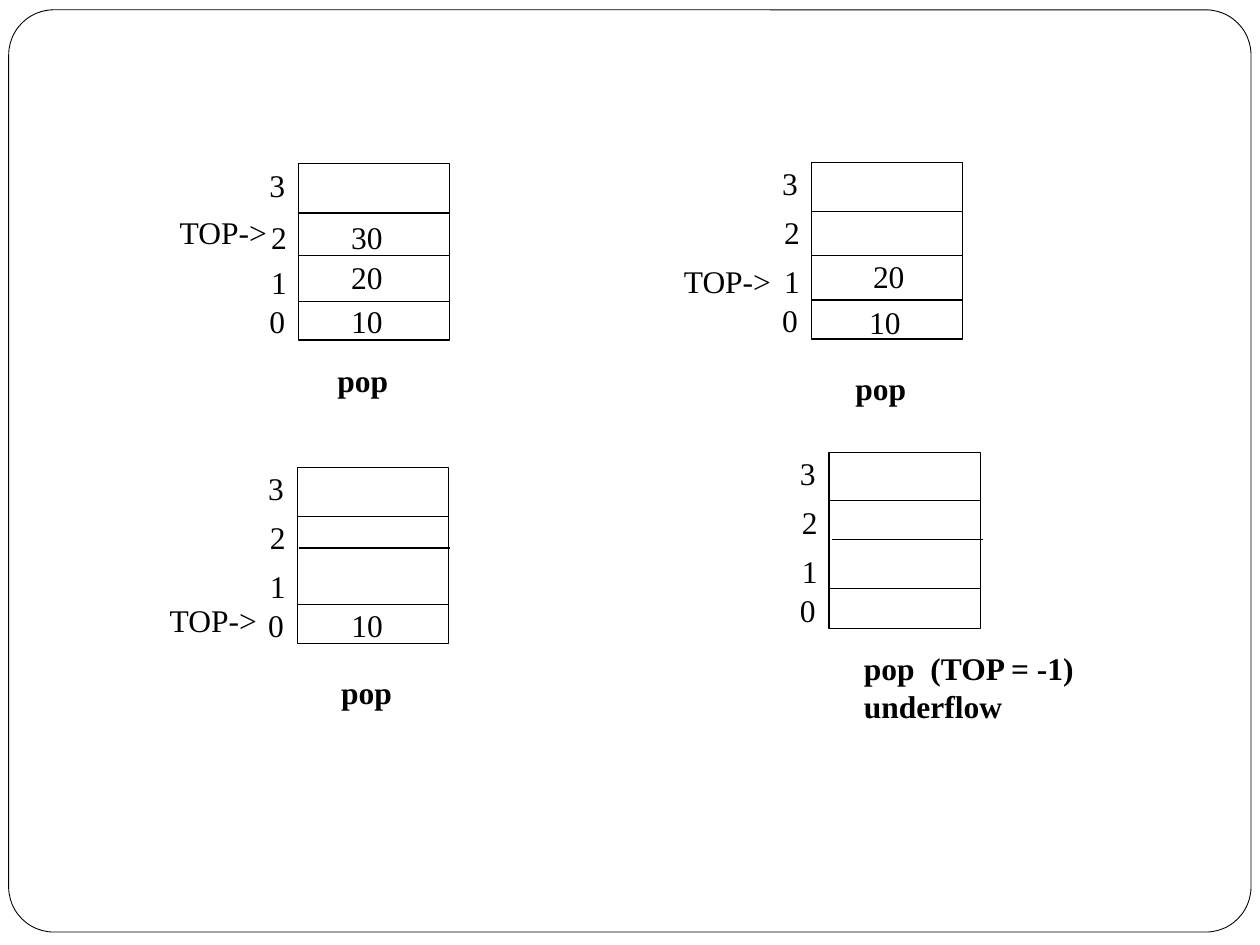
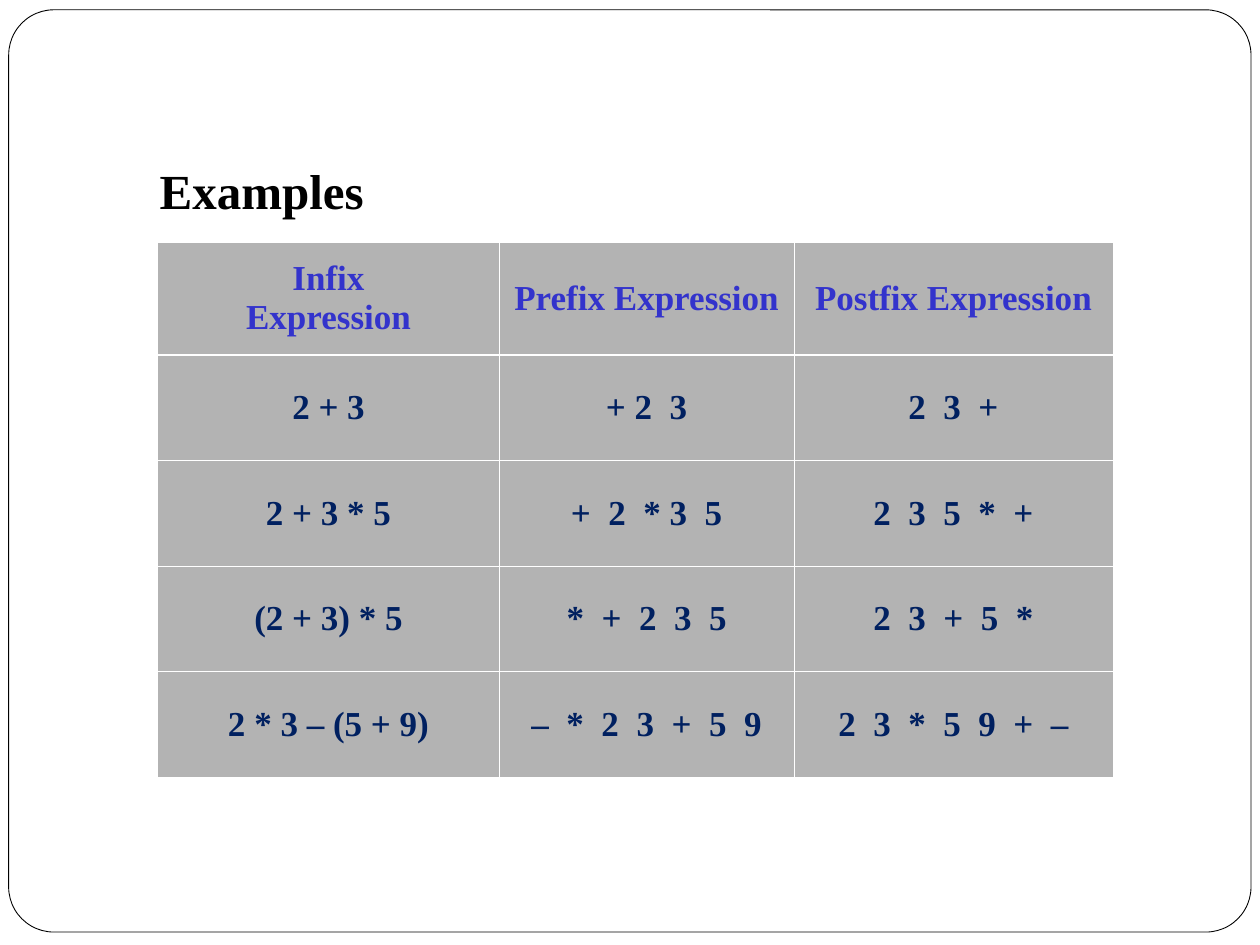
"""Build two slides on stack pops and on infix, prefix and postfix expressions."""
from dataclasses import dataclass
from typing import NamedTuple

from lxml.etree import SubElement
from pptx import Presentation
from pptx.dml.color import RGBColor
from pptx.enum.shapes import MSO_CONNECTOR, MSO_SHAPE
from pptx.enum.text import MSO_ANCHOR, PP_ALIGN
from pptx.oxml.ns import qn
from pptx.util import Pt

COLORS = {
    "ink": "000000",
    "header": "3333CC",
    "expression": "002060",
    "cell": "B3B3B3",
    "border": "FFFFFF",
}
FONT = "Times New Roman"
CELL_WIDTH, STACK_HEIGHT = 86.4, 100.8
TEXT_HEIGHT = 28.8
THIN_BORDER, HEADER_BORDER = 0.45, 1.47


class Label(NamedTuple):
    """Text placed relative to the top left corner of its stack."""

    text: str
    x: float
    y: float
    width: float
    height: float = TEXT_HEIGHT
    bold: bool = False
    indent: float = 0


class Divider(NamedTuple):
    """Horizontal line between two stack cells."""

    y: float
    shift: float = 0


@dataclass
class Stack:
    """One state of the stack."""

    left: float
    top: float
    dividers: list[Divider]
    labels: list[Label]
    index_two_y: float = 25.2


def pointer(x: float, y: float) -> Label:
    """Return the marker of the top element."""
    return Label("TOP->", x, y, 65)


def caption(x: float, y: float) -> Label:
    """Return the operation name below a stack."""
    return Label("pop", x, y, 44, bold=True)


STACKS = [
    Stack(463.7, 92.9, [Divider(28.1), Divider(53.3), Divider(78.5)],
          [Label("20", 28.1, 50.4, 33), Label("10", 25.9, 77, 57),
           pointer(-80, 53.3), caption(18, 114.5)]),
    Stack(170.6, 93.6, [Divider(28.1), Divider(52.6), Divider(78.5)],
          [Label("30", 23, 27.4, 33), Label("20", 23, 50.4, 33),
           Label("10", 23, 75.6, 53), pointer(-75, 24.5), caption(15.1, 109.4)],
          index_two_y=27.4),
    Stack(169.9, 267.1, [Divider(28.1), Divider(46.1, 0.7), Divider(78.5)],
          [Label("10", 23.8, 75.6, 58), pointer(-80, 72.7), caption(18, 113.8)]),
    Stack(473.8, 258.5, [Divider(27.4), Divider(49.7, 1.4), Divider(77.8)],
          [Label("pop  (TOP = -1)\nunderflow", -0.7, 108.7, 150, 93.6,
                 bold=True, indent=13.5)]),
]

COLUMN_WIDTHS = [195.1, 168.5, 182.2]
ROW_HEIGHTS = [64.6] + [60.3] * 4
EXPRESSIONS = [
    ("Infix\nExpression", "Prefix Expression", "Postfix Expression"),
    ("2 + 3", "+ 2  3", "2  3  +"),
    ("2 + 3 * 5", "+  2  * 3  5", "2  3  5  *  +"),
    ("(2 + 3) * 5", "*  +  2  3  5", "2  3  +  5  *"),
    ("2 * 3 – (5 + 9)", "–  *  2  3  +  5  9", "2  3  *  5  9  +  –"),
]


def write_text(frame, text: str, *, size: float = 18, color: str = "ink",
               bold: bool = False, align=PP_ALIGN.LEFT, indent: float = 0) -> None:
    """Fill a text frame with one paragraph for each line of text."""
    frame.word_wrap = True
    for number, line in enumerate(text.split("\n")):
        paragraph = frame.add_paragraph() if number else frame.paragraphs[0]
        paragraph.alignment = align
        if indent:
            paragraph._p.get_or_add_pPr().set("marL", str(int(Pt(indent))))
        run = paragraph.add_run()
        run.text = line
        run.font.name = FONT
        run.font.size = Pt(size)
        run.font.bold = bold
        run.font.color.rgb = RGBColor.from_string(COLORS[color])


def add_text_box(slide, left: float, top: float, width: float, height: float,
                 text: str, **text_format):
    """Add a text box and return its frame."""
    box = slide.shapes.add_textbox(Pt(left), Pt(top), Pt(width), Pt(height))
    write_text(box.text_frame, text, **text_format)
    return box.text_frame


def add_outline(slide, kind, left: float, top: float, width: float, height: float,
                line_width: float):
    """Add an unfilled shape with a dark outline."""
    shape = slide.shapes.add_shape(kind, Pt(left), Pt(top), Pt(width), Pt(height))
    shape.shadow.inherit = False
    shape.fill.background()
    shape.line.color.rgb = RGBColor.from_string(COLORS["ink"])
    shape.line.width = Pt(line_width)
    return shape


def add_framed_slide(presentation):
    """Add a blank slide with the rounded frame."""
    slide = presentation.slides.add_slide(presentation.slide_layouts[6])
    frame = add_outline(slide, MSO_SHAPE.ROUNDED_RECTANGLE, 5, 5.6, 709.9, 527, 0.5)
    frame.adjustments[0] = 0.049
    return slide


def draw_stack(slide, stack: Stack) -> None:
    """Draw the cells, indices and labels of a stack."""
    add_outline(slide, MSO_SHAPE.RECTANGLE, stack.left, stack.top,
                CELL_WIDTH, STACK_HEIGHT, 0.75)
    for divider in stack.dividers:
        left, y = stack.left + divider.shift, stack.top + divider.y
        line = slide.shapes.add_connector(MSO_CONNECTOR.STRAIGHT, Pt(left), Pt(y),
                                          Pt(left + CELL_WIDTH), Pt(y))
        line.line.color.rgb = RGBColor.from_string(COLORS["ink"])
        line.line.width = Pt(0.75)
        SubElement(line._element.spPr, qn("a:effectLst"))
    indices = [
        Label("3", -23.8, -2.5, 23),
        Label("2", -22.7, stack.index_two_y, 17.3),
        Label("1", -22.7, 53.3, 17.3),
        Label("0", -23.8, 75.6, 23),
    ]
    for label in indices + stack.labels:
        add_text_box(slide, stack.left + label.x, stack.top + label.y, label.width,
                     label.height, label.text, bold=label.bold, indent=label.indent)


def set_borders(cell, top: float, bottom: float) -> None:
    """Give a cell light borders of the given top and bottom widths."""
    properties = cell._tc.get_or_add_tcPr()
    widths = {"lnL": THIN_BORDER, "lnR": THIN_BORDER, "lnT": top, "lnB": bottom}
    for side, width in widths.items():
        line = SubElement(properties, qn(f"a:{side}"), w=str(int(Pt(width))))
        fill = SubElement(line, qn("a:solidFill"))
        SubElement(fill, qn("a:srgbClr"), val=COLORS["border"])


def add_expression_table(slide) -> None:
    """Add the table that compares the three notations."""
    table = slide.shapes.add_table(
        len(ROW_HEIGHTS), len(COLUMN_WIDTHS), Pt(90.2), Pt(138.3),
        Pt(sum(COLUMN_WIDTHS)), Pt(sum(ROW_HEIGHTS))).table
    for column, width in zip(table.columns, COLUMN_WIDTHS):
        column.width = Pt(width)
    for row_number, texts in enumerate(EXPRESSIONS):
        table.rows[row_number].height = Pt(ROW_HEIGHTS[row_number])
        for column_number, text in enumerate(texts):
            cell = table.cell(row_number, column_number)
            set_borders(cell,
                        HEADER_BORDER if row_number == 1 else THIN_BORDER,
                        HEADER_BORDER if row_number == 0 else THIN_BORDER)
            cell.fill.solid()
            cell.fill.fore_color.rgb = RGBColor.from_string(COLORS["cell"])
            cell.vertical_anchor = MSO_ANCHOR.MIDDLE
            write_text(cell.text_frame, text, size=20, bold=True,
                       align=PP_ALIGN.CENTER,
                       color="expression" if row_number else "header")


def main() -> None:
    """Build and save the presentation."""
    presentation = Presentation()
    presentation.slide_width, presentation.slide_height = Pt(720), Pt(540)

    stack_slide = add_framed_slide(presentation)
    for stack in STACKS:
        draw_stack(stack_slide, stack)

    expression_slide = add_framed_slide(presentation)
    title = add_text_box(expression_slide, 84.2, 87.8, 185.8, 44.6, "Examples",
                         size=28, bold=True)
    title.vertical_anchor = MSO_ANCHOR.BOTTOM
    title.margin_bottom = Pt(7.2)
    add_expression_table(expression_slide)

    presentation.save("out.pptx")


if __name__ == "__main__":
    main()
